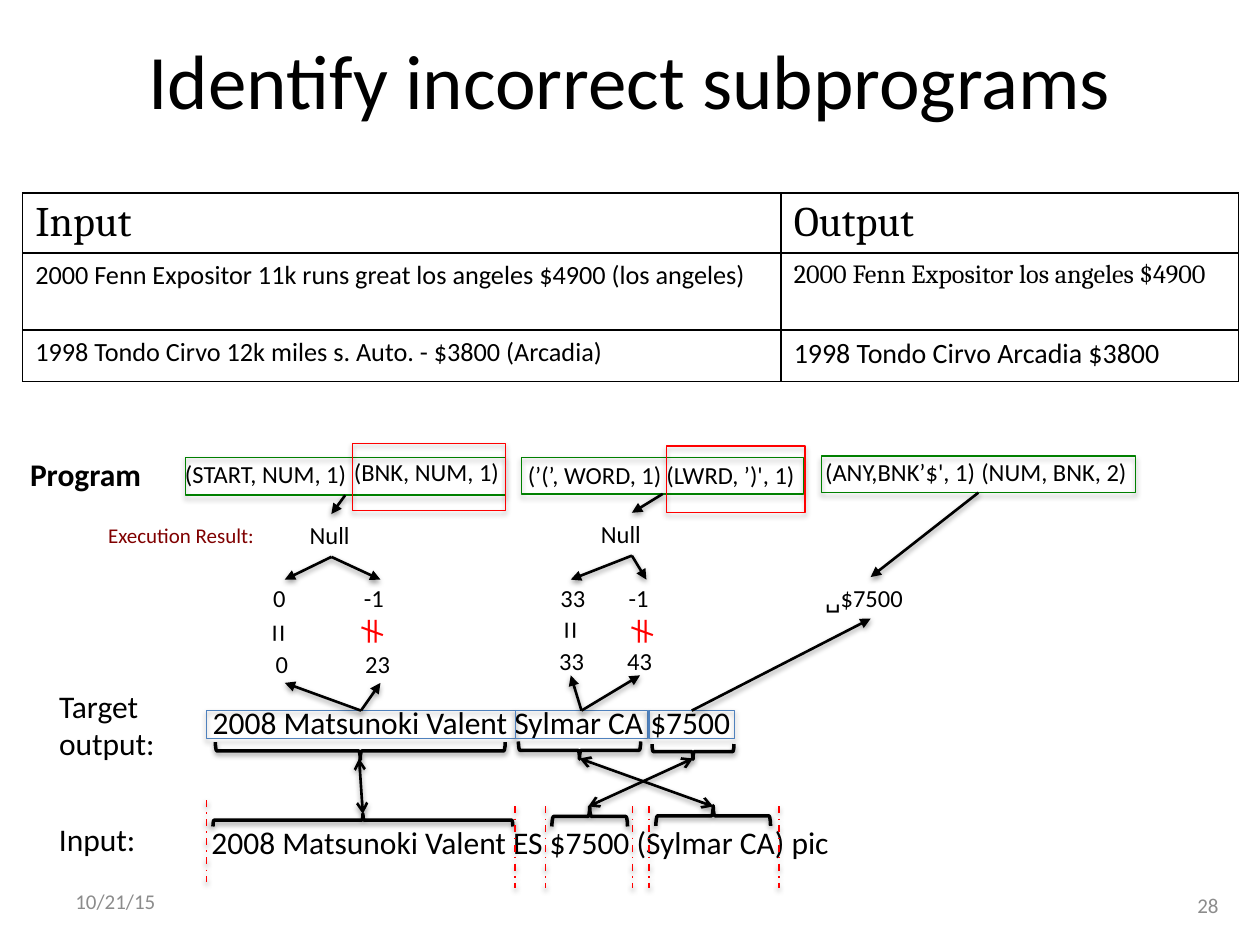
import pptx
import pptx.dml.color
import pptx.enum.dml
import pptx.enum.shapes
import pptx.enum.text
import pptx.oxml.ns
import pptx.util
from lxml import etree

RGB = pptx.dml.color.RGBColor
BLACK = RGB(0x00, 0x00, 0x00)
GREEN = RGB(0x00, 0x80, 0x00)
RED = RGB(0xFF, 0x00, 0x00)
BLUE = RGB(0x4F, 0x81, 0xBD)
MAROON = RGB(0x80, 0x00, 0x00)
GRAY = RGB(0x8C, 0x8C, 0x8C)

Pt = pptx.util.Pt
qn = pptx.oxml.ns.qn
SHAPE = pptx.enum.shapes.MSO_SHAPE
STRAIGHT = pptx.enum.shapes.MSO_CONNECTOR.STRAIGHT
ALIGN = pptx.enum.text.PP_ALIGN
MIDDLE = pptx.enum.text.MSO_ANCHOR.MIDDLE
TOP_SIDE, BOTTOM_SIDE = 0, 2

prs = pptx.Presentation()
prs.slide_width = pptx.util.Inches(10)
prs.slide_height = pptx.util.Inches(7.5)
COL = prs.slide_width / 100
ROW = prs.slide_height / 75
s = prs.slides.add_slide(prs.slide_layouts[6])


def add_text(text, x, y, w, h, size=14, color=BLACK, font="Calibri"):
    """Place a text box on the grid, one paragraph per line of text."""
    sp = s.shapes.add_textbox(int(x * COL), int(y * ROW), int(w * COL), int(h * ROW))
    tf = sp.text_frame
    tf.word_wrap = True
    tf.text = text
    for p in tf.paragraphs:
        for r in p.runs:
            r.font.size = Pt(size)
            r.font.name = font
            r.font.color.rgb = color
    return sp


def add_shadow(sp, opacity, distance):
    """Give a shape or connector a soft black shadow straight below it."""
    effects = etree.SubElement(sp._element.spPr, qn("a:effectLst"))
    shadow = etree.SubElement(effects, qn("a:outerShdw"), blurRad=str(Pt(3.1)),
                              dist=str(Pt(distance)), dir="5400000", rotWithShape="0")
    color = etree.SubElement(shadow, qn("a:srgbClr"), val=str(BLACK))
    etree.SubElement(color, qn("a:alpha"), val=str(opacity * 1000))


# Title
title = add_text("Identify incorrect subprograms", 5, 0, 90, 12.5, 44)
title.text_frame.vertical_anchor = MIDDLE
title.text_frame.paragraphs[0].alignment = ALIGN.CENTER

# Example table
EXAMPLES = [
    [("Input", 24, "Cambria"), ("Output", 24, "Cambria")],
    [("2000 Fenn Expositor 11k runs great los angeles $4900 (los angeles)", 15, "Calibri"),
     ("2000 Fenn Expositor los angeles $4900", 15, "Cambria")],
    [("1998 Tondo Cirvo 12k miles s. Auto. - $3800 (Arcadia)", 15, "Calibri"),
     ("1998 Tondo Cirvo Arcadia $3800", 16, "Calibri")],
]
table = s.shapes.add_table(3, 2, int(1.8 * COL), int(15.3 * ROW),
                           int(96.5 * COL), int(15 * ROW)).table
table.first_row = table.horz_banding = False
for column, width in zip(table.columns, (60.2, 36.3)):
    column.width = int(width * COL)
for row, height, examples in zip(table.rows, (4.8, 6.1, 4.1), EXAMPLES):
    row.height = int(height * ROW)
    for cell, (text, size, font) in zip(row.cells, examples):
        cell.text = text
        cell.margin_bottom = Pt(2)
        r = cell.text_frame.paragraphs[0].runs[0]
        r.font.size = Pt(size)
        r.font.name = font
        r.font.color.rgb = BLACK
        tcPr = cell._tc.get_or_add_tcPr()
        for side in ("a:lnL", "a:lnR", "a:lnT", "a:lnB"):
            border = etree.SubElement(tcPr, qn(side), w=str(Pt(1)))
            fill = etree.SubElement(border, qn("a:solidFill"))
            etree.SubElement(fill, qn("a:srgbClr"), val=str(BLACK))
        cell.fill.background()

# Row labels
add_text("Program", 1.4, 35.6, 11, 4, 18).text_frame.paragraphs[0].runs[0].font.bold = True
add_text("Execution Result:", 7.6, 41, 14.5, 3, 12, MAROON)
add_text("Target\noutput:", 3.7, 54, 10.5, 7.1, 18)
add_text("Input:", 3.7, 64.6, 9, 4, 18)

# Position expressions, target output and input
for text, x, y, w in [
    ("(START, NUM, 1)", 13.7, 35.9, 17.4),
    ("(BNK, NUM, 1)", 27.1, 35.8, 14.5),
    ("(’(’, WORD, 1)", 40.9, 36, 16.5),
    ("(LWRD, ’)', 1)", 51.9, 36, 13.5),
    ("(ANY,BNK’$', 1)", 64.5, 35.8, 16.5),
    ("(NUM, BNK, 2)", 76.9, 35.8, 16),
]:
    add_text(text, x, y, w, 3.4)
add_text("2008 Matsunoki Valent Sylmar CA $7500", 15.9, 55.3, 46, 4, 18)
add_text("2008 Matsunoki Valent ES $7500 (Sylmar CA) pic", 15.8, 64.8, 57.1, 4, 18)

# Execution results, compared with the expected positions
null_left = add_text("Null", 23.6, 40.8, 5.4, 3.4)
null_right = add_text("Null", 46.7, 40.7, 6.9, 3.4)
price = add_text("␣$7500", 64.5, 45.8, 9.2, 3.3)
for text, x, y in [
    ("0", 20.7, 45.8), ("-1", 27.9, 45.8), ("33", 43.5, 45.8), ("-1", 48.9, 45.8),
    ("0", 20.9, 51), ("23", 28, 51), ("33", 43.4, 50.8), ("43", 48.8, 50.8),
]:
    add_text(text, x, y, 5, 3.4)
for sign, x, y, w, color in [
    ("=", 20.4, 48.3, 3.3, BLACK), ("≠", 27.3, 48.1, 4.5, RED),
    ("=", 43.6, 48.1, 3.3, BLACK), ("≠", 48.7, 48.1, 4.5, RED),
]:
    sp = add_text(sign, x, y, w, 4, 18, color, "Noto Sans CJK JP")
    sp.rotation = 270
    rPr = sp.text_frame.paragraphs[0].runs[0]._r.get_or_add_rPr()
    etree.SubElement(rPr, qn("a:ea"), typeface="Noto Sans CJK JP")

# Frames: three subprograms, three output parts, two incorrect expressions
frames = []
for x, y, w, h, color in [
    (14.7, 36.3, 25.4, 3, GREEN), (41.4, 36.3, 22.4, 2.9, GREEN), (65.2, 36.2, 24.9, 2.9, GREEN),
    (16.4, 56.4, 24.5, 2.2, BLUE), (40.9, 56.4, 10.5, 2.2, BLUE), (51.5, 56.4, 6.8, 2.2, BLUE),
    (28, 35.2, 12.1, 5.3, RED), (52.9, 35.4, 11, 5.3, RED),
]:
    sp = s.shapes.add_shape(SHAPE.RECTANGLE, int(x * COL), int(y * ROW), int(w * COL), int(h * ROW))
    sp.fill.background()
    sp.line.color.rgb = color
    sp.line.width = Pt(0.75)
    add_shadow(sp, 35, 1.8)
    frames.append(sp)
programs, outputs = frames[:3], frames[3:6]

# Braces below the output parts (270) and above the input parts (90)
for x, y, w, h, turn in [
    (27.9, 48.1, 1.4, 23, 270), (45.3, 54.7, 1.4, 9.7, 270), (54.4, 56.4, 1.2, 6.5, 270),
    (28.3, 53.2, 1, 23.8, 90), (46, 61.8, 1.6, 6, 90), (55.8, 60.2, 1.6, 9.1, 90),
]:
    sp = s.shapes.add_shape(SHAPE.LEFT_BRACE, int(x * COL), int(y * ROW), int(w * COL), int(h * ROW))
    sp.rotation = turn
    sp.fill.background()
    sp.line.color.rgb = BLACK
    sp.line.width = Pt(2)
    add_shadow(sp, 38, 1.6)

# Lines: each end is a (column, row) point or a (shape, side) joint
ARROW, DOUBLE, CUT = "arrow", "double", "cut"
LINES = [
    ((programs[0], BOTTOM_SIDE), (null_left, TOP_SIDE), ARROW),
    ((programs[1], BOTTOM_SIDE), (null_right, TOP_SIDE), ARROW),
    ((programs[2], BOTTOM_SIDE), (price, TOP_SIDE), ARROW),
    ((null_left, BOTTOM_SIDE), (22.6, 46), ARROW),
    ((null_left, BOTTOM_SIDE), (30.2, 46), ARROW),
    ((null_right, BOTTOM_SIDE), (45.3, 46), ARROW),
    ((null_right, BOTTOM_SIDE), (51.3, 46), ARROW),
    ((outputs[0], TOP_SIDE), (22.6, 54.2), ARROW),
    ((outputs[0], TOP_SIDE), (30.2, 54.2), ARROW),
    ((outputs[1], TOP_SIDE), (45.3, 53.6), ARROW),
    ((outputs[1], TOP_SIDE), (50.8, 53.6), ARROW),
    ((outputs[2], TOP_SIDE), (price, BOTTOM_SIDE), ARROW),
    ((28.5, 60.2), (28.8, 64.6), DOUBLE),
    ((46, 60.2), (56.6, 64), DOUBLE),
    ((55, 60.2), (46.7, 64), DOUBLE),
    ((16.4, 63.5), (16.4, 70), CUT),
] + [((x, 64), (x, 70.5), CUT) for x in (40.9, 43.3, 50.2, 51.5, 61.8)]
for start, end, kind in LINES:
    points = [(0, 0) if hasattr(a, "shape_id") else (int(a * COL), int(b * ROW))
              for a, b in (start, end)]
    line = s.shapes.add_connector(STRAIGHT, *points[0], *points[1])
    for joint, connect in ((start, line.begin_connect), (end, line.end_connect)):
        if hasattr(joint[0], "shape_id"):
            connect(*joint)
    line.line.color.rgb = RED if kind == CUT else BLACK
    line.line.width = Pt(1 if kind == CUT else 1.5)
    ln = line.line._get_or_add_ln()
    if kind == CUT:
        line.line.dash_style = pptx.enum.dml.MSO_LINE.DASH_DOT
    elif kind == ARROW:
        etree.SubElement(ln, qn("a:tailEnd"), type="triangle")
    else:
        etree.SubElement(ln, qn("a:headEnd"), type="arrow")
        etree.SubElement(ln, qn("a:tailEnd"), type="arrow")
    add_shadow(line, 38, 1.6)

# Footer
for text, x, y, align in [("10/21/15", 5, 69.5, ALIGN.LEFT), ("28", 74.4, 69.8, ALIGN.RIGHT)]:
    tf = add_text(text, x, y, 23.3, 4, 12, GRAY).text_frame
    tf.vertical_anchor = MIDDLE
    tf.paragraphs[0].alignment = align

prs.save("out.pptx")
